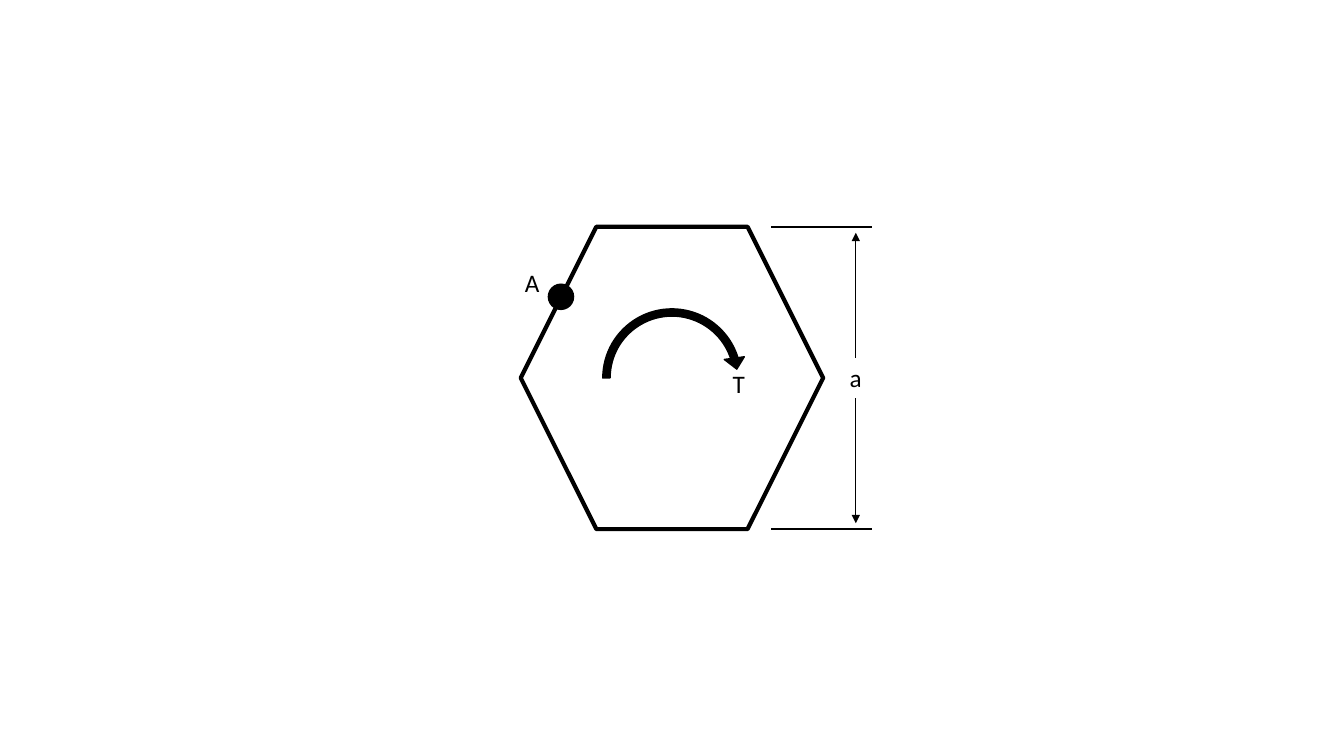
from lxml import etree
from pptx import Presentation
from pptx.dml.color import RGBColor
from pptx.enum.shapes import MSO_CONNECTOR, MSO_SHAPE
from pptx.enum.text import MSO_AUTO_SIZE
from pptx.oxml.ns import qn
from pptx.util import Pt

HEXAGON = MSO_SHAPE.HEXAGON
CIRCULAR_ARROW = MSO_SHAPE.CIRCULAR_ARROW
OVAL = MSO_SHAPE.OVAL
STRAIGHT = MSO_CONNECTOR.STRAIGHT
FIT_TEXT = MSO_AUTO_SIZE.SHAPE_TO_FIT_TEXT
TOP_SIDE, BOTTOM_SIDE = 0, 2


def color(hex_string):
    return RGBColor.from_string(hex_string)


class Diagram:
    """Draws elements on one slide, with all lengths in points."""

    font_name = "Calibri"
    font_size = 18
    ink = "000000"

    def __init__(self, slide):
        self.slide = slide

    def shape(self, kind, left, top, size, line_width=1, filled=True):
        shape = self.slide.shapes.add_shape(
            kind, Pt(left), Pt(top), Pt(size), Pt(size))
        shape.shadow.inherit = False
        if filled:
            shape.fill.solid()
            shape.fill.fore_color.rgb = color(self.ink)
        else:
            shape.fill.background()
        shape.line.color.rgb = color(self.ink)
        shape.line.width = Pt(line_width)
        return shape

    def line(self, start, end, width, arrow=False):
        connector = self.slide.shapes.add_connector(
            STRAIGHT, *(Pt(value) for value in (*start, *end)))
        connector.line.color.rgb = color(self.ink)
        connector.line.width = Pt(width)
        if arrow:
            outline = connector.line._get_or_add_ln()
            etree.SubElement(outline, qn("a:tailEnd"), type="triangle")
        etree.SubElement(connector._element.spPr, qn("a:effectLst"))
        return connector

    def label(self, text, left, top, width, height=28.8):
        box = self.slide.shapes.add_textbox(
            Pt(left), Pt(top), Pt(width), Pt(height))
        frame = box.text_frame
        frame.text = text
        frame.word_wrap = False
        frame.auto_size = FIT_TEXT
        font = frame.paragraphs[0].runs[0].font
        font.name = self.font_name
        font.size = Pt(self.font_size)
        font.color.rgb = color(self.ink)
        return box


def main():
    presentation = Presentation()
    presentation.slide_width, presentation.slide_height = Pt(960), Pt(540)
    diagram = Diagram(presentation.slides.add_slide(presentation.slide_layouts[6]))

    # Hexagonal section
    left, top, size = 372, 162, 216
    bottom = top + size
    diagram.shape(HEXAGON, left, top, size, line_width=3, filled=False)

    # Height dimension
    for level in (top, bottom):
        diagram.line((551, level), (623, level), 1.5)
    height_label = diagram.label("a", 599.8, 255.6, 23)
    dimension_x, gap = 611.3, 4.3
    for side, start, end in ((BOTTOM_SIDE, 284.4, bottom - gap),
                             (TOP_SIDE, 255.6, top + gap)):
        arrow = diagram.line((dimension_x, start), (dimension_x, end), 1, arrow=True)
        arrow.begin_connect(height_label, side)

    # Torque
    torque_size = size / 2
    inset = (size - torque_size) / 2
    torque = diagram.shape(CIRCULAR_ARROW, left + inset, top + inset, torque_size)
    for index, value in enumerate((0.048, 5.94, 205.415, 108, 0.067)):
        torque.adjustments[index] = value
    diagram.label("T", 516.2, 259.2, 23)

    # Point on the edge
    diagram.label("A", 367.9, 187.2, 25.2)
    diagram.shape(OVAL, 391.7, 203, 18)

    presentation.save("out.pptx")


if __name__ == "__main__":
    main()
